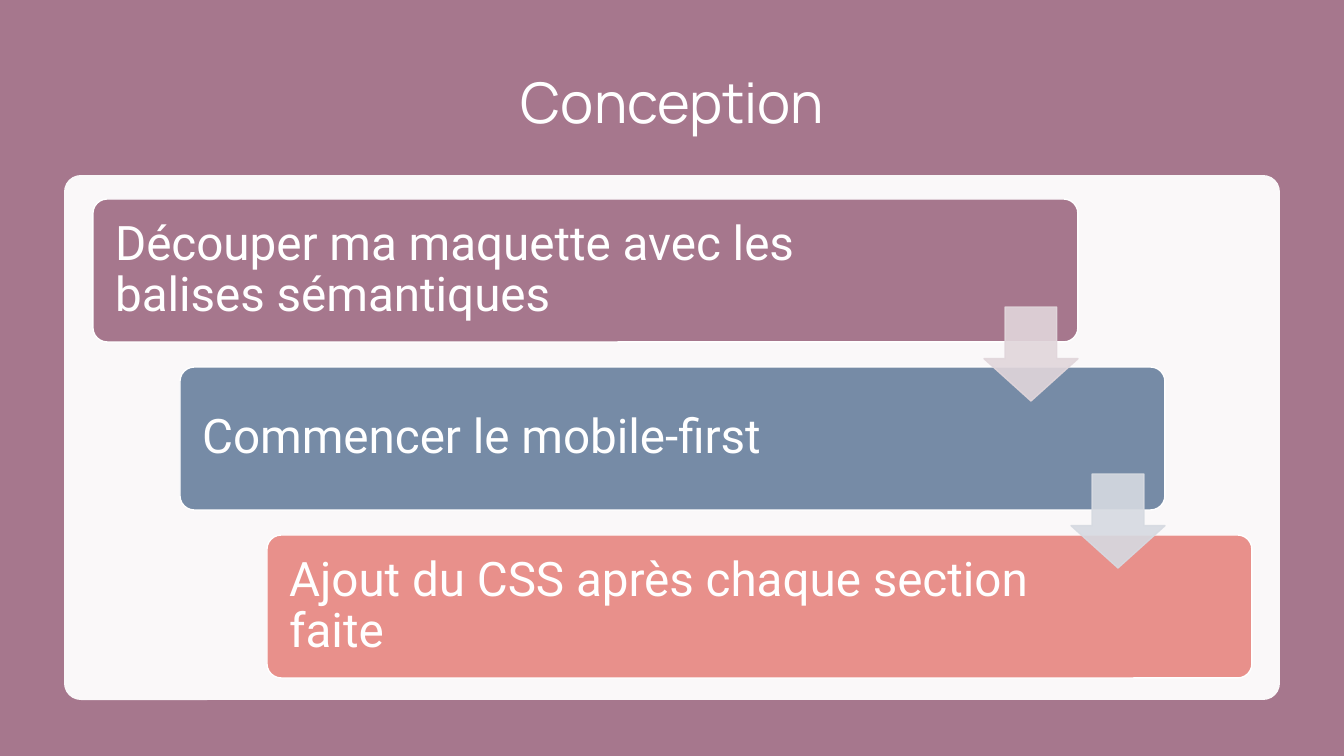
import pptx
import pptx.util
import pptx.dml.color
import pptx.enum.shapes
import pptx.enum.text
import pptx.oxml
import pptx.oxml.ns

PX = 914400 / 100.8
KIND = pptx.enum.shapes.MSO_SHAPE
ALIGN = pptx.enum.text.PP_ALIGN
MIDDLE = pptx.enum.text.MSO_ANCHOR.MIDDLE


def px(*sizes):
    return [pptx.util.Emu(round(size * PX)) for size in sizes]


def paint(fill, color, alpha=100):
    fill.solid()
    fill.fore_color.rgb = pptx.dml.color.RGBColor.from_string(color)
    if alpha < 100:
        tag = pptx.oxml.parse_xml(
            f'<a:alpha {pptx.oxml.ns.nsdecls("a")} val="{alpha * 1000}"/>')
        fill._xPr.find(".//" + pptx.oxml.ns.qn("a:srgbClr")).append(tag)


deck = pptx.Presentation()
deck.slide_width, deck.slide_height = px(1344, 756)
slide = deck.slides.add_slide(deck.slide_layouts[5])
paint(slide.background.fill, "A6778D")

title = slide.shapes.title
title.left, title.top, title.width, title.height = px(93, 50, 1159, 111)
title.text_frame.text = "Conception"
title.text_frame.vertical_anchor = MIDDLE
head = title.text_frame.paragraphs[0]
head.alignment = ALIGN.CENTER
head.line_spacing = 0.9
font = head.runs[0].font
font.name = "Manrope"
font.size = pptx.util.Pt(40)
paint(font.fill, "FFFFFF")

panel = slide.shapes.add_shape(KIND.ROUNDED_RECTANGLE, *px(64, 175, 1216, 525))
panel.adjustments[0] = 0.032
panel.shadow.inherit = False
panel.line.fill.background()
paint(panel.fill, "FFFFFF", 95)

steps = [
    ("Découper ma maquette avec les balises sémantiques", "A6778D"),
    ("Commencer le mobile-first", "768BA6"),
    ("Ajout du CSS après chaque section faite", "E8908B"),
]
for i, (text, color) in enumerate(steps):
    card = slide.shapes.add_shape(
        KIND.ROUNDED_RECTANGLE, *px(93 + 87 * i, 199 + 168 * i, 985, 143))
    card.adjustments[0] = 0.1
    card.shadow.inherit = False
    paint(card.fill, color)
    paint(card.line.fill, "FFFFFF")
    card.line.width = pptx.util.Pt(1)
    frame = card.text_frame
    frame.text = text
    frame.word_wrap = True
    frame.vertical_anchor = MIDDLE
    frame.margin_left, frame.margin_right = px(18, 200)
    line = frame.paragraphs[0]
    line.alignment = ALIGN.LEFT
    line.line_spacing = 0.9
    font = line.runs[0].font
    font.name = "Roboto"
    font.size = pptx.util.Pt(34)
    paint(font.fill, "FFFFFF")

for i, color in enumerate(["E1D6DB", "D6DAE1"]):
    arrow = slide.shapes.add_shape(
        KIND.DOWN_ARROW, *px(984 + 87 * i, 307 + 167 * i, 94, 94))
    arrow.adjustments[0] = 0.55
    arrow.adjustments[1] = 0.45
    arrow.shadow.inherit = False
    paint(arrow.fill, color, 90)
    paint(arrow.line.fill, color, 90)
    arrow.line.width = pptx.util.Pt(1)

deck.save("out.pptx")
